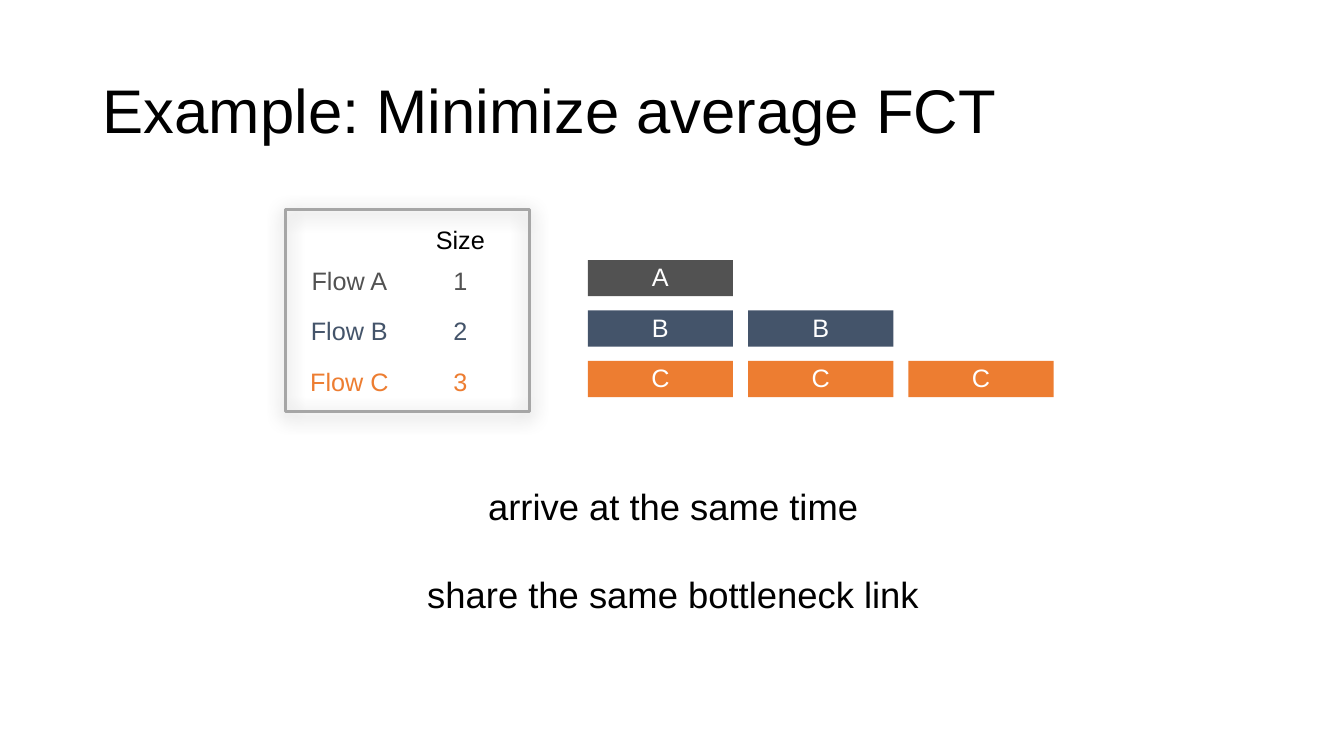
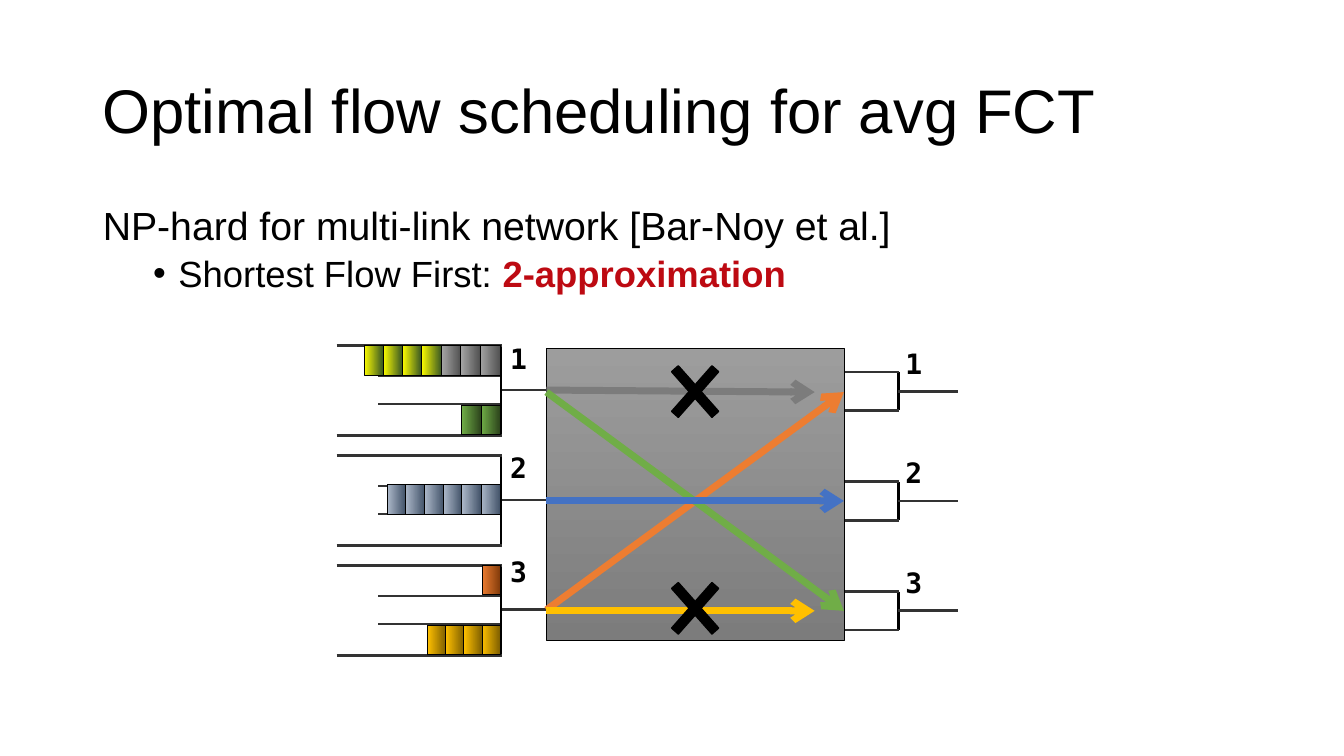
from lxml import etree
from pptx import Presentation
from pptx import util as u
from pptx.dml import color as dml
from pptx.enum import shapes, text
from pptx.oxml import ns

PX = 9144
BLACK, WHITE, INK, BORDER, RED = "000000", "FFFFFF", "333333", "A6A6A6", "BD0A12"
SLATE, NAVY, ORANGE = "525252", "44546A", "ED7D31"
GREEN, GOLD, BLUE, GRAY = "70AD47", "FFC000", "4472C4", "7C7C7C"
SANS, MONO = "Arial", "DejaVu Sans Mono"
CENTER = text.PP_ALIGN.CENTER
TOP, MIDDLE = text.MSO_ANCHOR.TOP, text.MSO_ANCHOR.MIDDLE
RECT, CROSS = shapes.MSO_SHAPE.RECTANGLE, shapes.MSO_SHAPE.MATH_MULTIPLY


def px(*values):
    return [u.Emu(v * PX) for v in values]


def rgb(value):
    return dml.RGBColor.from_string(value)


def child(parent, tag, **attrs):
    return etree.SubElement(parent, ns.qn(tag), attrs)


def setup_frame(tf, anchor):
    tf.word_wrap = True
    tf.vertical_anchor = anchor
    tf.margin_left = tf.margin_right = tf.margin_top = tf.margin_bottom = 0
    return tf.paragraphs[0]


def write(p, words, size=18, color=BLACK, font=SANS, bold=False, align=None,
          spacing=None, before=None):
    r = p.add_run()
    r.text = words
    r.font.size = u.Pt(size)
    r.font.name = font
    r.font.bold = bold
    r.font.color.rgb = rgb(color)
    if align is not None:
        p.alignment = align
    if spacing is not None:
        p.line_spacing = spacing
    if before is not None:
        p.space_before = u.Pt(before)


def add_box(sl, x, y, w, h, anchor=MIDDLE):
    tf = sl.shapes.add_textbox(*px(x, y, w, h)).text_frame
    return tf, setup_frame(tf, anchor)


def add_label(sl, x, y, w, h, words, **fmt):
    write(add_box(sl, x, y, w, h)[1], words, **fmt)


def add_shape(sl, x, y, w, h, kind=RECT, fill=None, line=None, width=0.5):
    sp = sl.shapes.add_shape(kind, *px(x, y, w, h))
    sp.shadow.inherit = False
    if fill is None:
        sp.fill.background()
    else:
        sp.fill.solid()
        sp.fill.fore_color.rgb = rgb(fill)
    if line is None:
        sp.line.fill.background()
    else:
        sp.line.color.rgb = rgb(line)
        sp.line.width = u.Pt(width)
    return sp


def shade(sp, start, end, angle=0):
    sp.fill.gradient()
    sp.fill.gradient_angle = angle
    for stop, color in zip(sp.fill.gradient_stops, (start, end)):
        stop.color.rgb = rgb(color)


def add_line(sl, x1, y1, x2, y2, color=INK, width=2, arrow=False):
    c = sl.shapes.add_connector(shapes.MSO_CONNECTOR.STRAIGHT, *px(x1, y1, x2, y2))
    c.line.color.rgb = rgb(color)
    c.line.width = u.Pt(width)
    spPr = c._element.spPr
    if arrow:
        child(spPr.find(ns.qn("a:ln")), "a:tailEnd", type="arrow")
    child(spPr, "a:effectLst")


def add_soft_shadow(sp):
    effects = sp._element.spPr.find(ns.qn("a:effectLst"))
    shadow = child(effects, "a:outerShdw", blurRad="177800", dist="38100",
                   dir="5400000", algn="t", rotWithShape="0")
    tint = child(shadow, "a:srgbClr", val=BLACK)
    child(tint, "a:alpha", val="40000")


def add_slide(prs, title):
    sl = prs.slides.add_slide(prs.slide_layouts[6])
    add_label(sl, 102, 40, 1130, 145, title, size=44, spacing=0.9)
    return sl


def add_bullet(p):
    pPr = p._p.get_or_add_pPr()
    pPr.set("marL", str(75 * PX))
    pPr.set("indent", str(-25 * PX))
    child(pPr, "a:buFont", typeface=SANS)
    child(pPr, "a:buChar", char="•")
    p.level = 1


def add_port_number(sl, x, y, number):
    add_label(sl, x, y, 28, 44, str(number), size=20, font=MONO, bold=True)


def add_input_port(sl, y, number, number_y):
    add_line(sl, 497, y, 557, y)
    add_line(sl, 497, y - 44, 497, y + 45, BLACK)
    for dy in (-44, 45):
        add_line(sl, 334, y + dy, 498, y + dy)
    for dy in (-14, 14):
        add_line(sl, 375, y + dy, 496, y + dy, width=1.25)
    add_port_number(sl, 506, number_y, number)


def add_output_port(sl, y, number):
    add_line(sl, 891, y - 19, 891, y + 19, BLACK)
    for dy in (-19, 19):
        add_line(sl, 818, y + dy, 892, y + dy)
    add_line(sl, 891, y, 950, y)
    add_port_number(sl, 898, y - 50, number)


def add_queue(sl, left, y, packets):
    right, n = 496, len(packets)
    edges = [left + (right - left) * i // n for i in range(n + 1)]
    for x, end, (light, dark) in zip(edges, edges[1:], packets):
        shade(add_shape(sl, x, y, end - x, 29, line=BLACK), light, dark)


def build_example(prs):
    sl = add_slide(prs, "Example: Minimize average FCT")
    table = add_shape(sl, 283, 208, 242, 200, line=BORDER, width=2)
    add_soft_shadow(table)
    add_label(sl, 422, 218, 69, 40, "Size", align=CENTER)
    for row, (name, color) in enumerate(zip("ABC", (SLATE, NAVY, ORANGE))):
        y, size = 258 + 50 * row, row + 1
        add_label(sl, 297, y, 99, 40, f"Flow {name}", color=color, align=CENTER)
        add_label(sl, 422, y, 69, 40, str(size), color=color, align=CENTER)
        for col in range(size):
            bar = add_shape(sl, 583 + 159 * col, y, 144, 36, fill=color)
            write(setup_frame(bar.text_frame, MIDDLE), name, color=WHITE,
                  align=CENTER, spacing=0.93)
    tf, p = add_box(sl, 411, 480, 514, 131, TOP)
    write(p, "arrive at the same time", size=26, align=CENTER)
    write(tf.add_paragraph(), "share the same bottleneck link", size=26,
          align=CENTER, before=32)


def build_scheduling(prs):
    sl = add_slide(prs, "Optimal flow scheduling for avg FCT")
    tf, p = add_box(sl, 102, 205, 1130, 100, TOP)
    write(p, "NP-hard for multi-link network [Bar-Noy et al.]", size=28, spacing=0.9)
    p = tf.add_paragraph()
    add_bullet(p)
    write(p, "Shortest Flow First: ", size=26, spacing=0.9, before=5)
    write(p, "2-approximation", size=26, color=RED, bold=True)

    for i, number_y in enumerate((333, 442, 545)):
        add_input_port(sl, 387 + 109 * i, i + 1, number_y)
        add_output_port(sl, 388 + 109 * i, i + 1)
    switch = add_shape(sl, 542, 346, 295, 289, line=BLACK)
    shade(switch, "9D9D9D", GRAY, 270)

    lime, silver = ("FFFF00", "385723"), ("A5A5A5", SLATE)
    queues = [
        (361, 343, [lime] * 4 + [silver] * 3),
        (458, 402, [(GREEN, "2D451C")] * 2),
        (384, 481, [("ADB9CA", NAVY)] * 6),
        (478, 561, [(ORANGE, "843C0B")]),
        (424, 620, [(GOLD, "806000")] * 4),
    ]
    for queue in queues:
        add_queue(sl, *queue)

    flows = [
        (605, 837, 389, ORANGE),
        (387, 808, 389, GRAY),
        (389, 837, 606, GREEN),
        (606, 808, 606, GOLD),
        (497, 837, 497, BLUE),
    ]
    for start_y, end_x, end_y, color in flows:
        add_line(sl, 542, start_y, end_x, end_y, color, 5, arrow=True)
    for y in (345, 560):
        cross = add_shape(sl, 651, y, 77, 87, CROSS, BLACK, BLACK, 1)
        cross.adjustments[0] = 0.116


def main():
    prs = Presentation()
    prs.slide_width, prs.slide_height = px(1333, 750)
    build_example(prs)
    build_scheduling(prs)
    prs.save("out.pptx")


if __name__ == "__main__":
    main()
